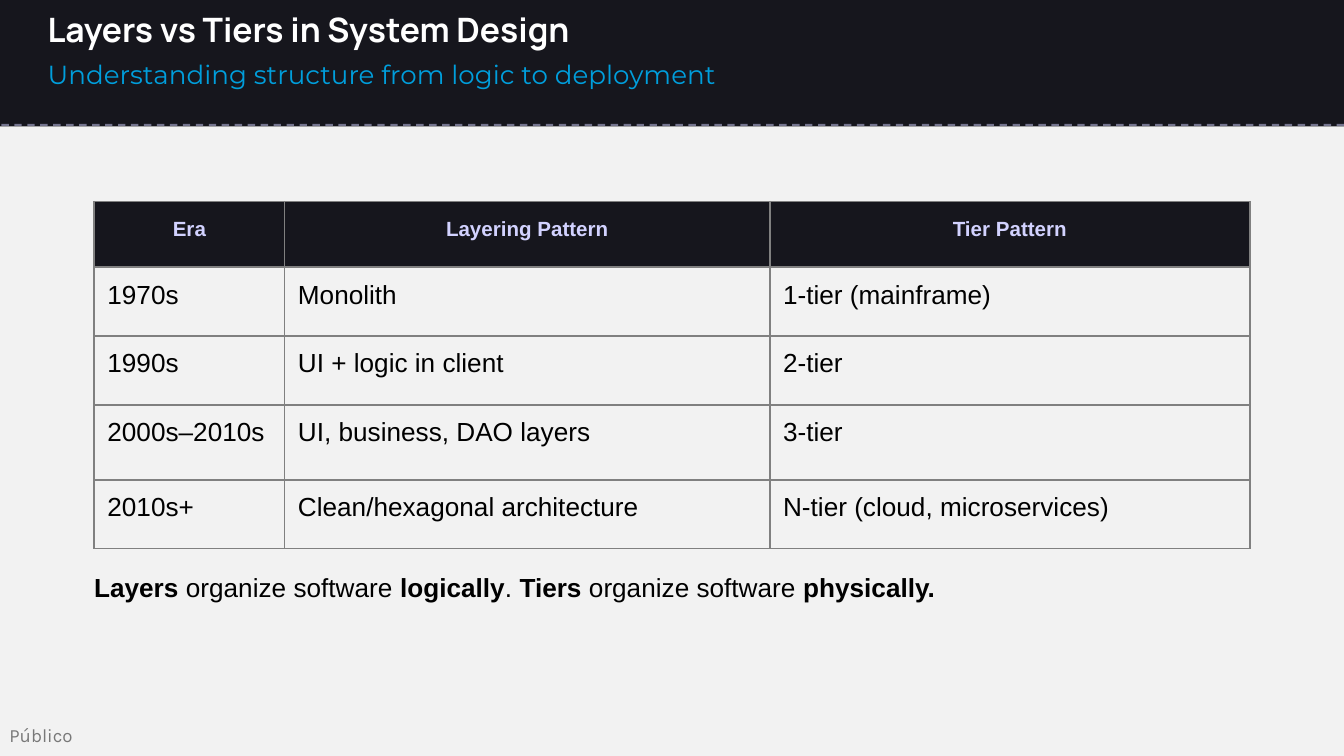
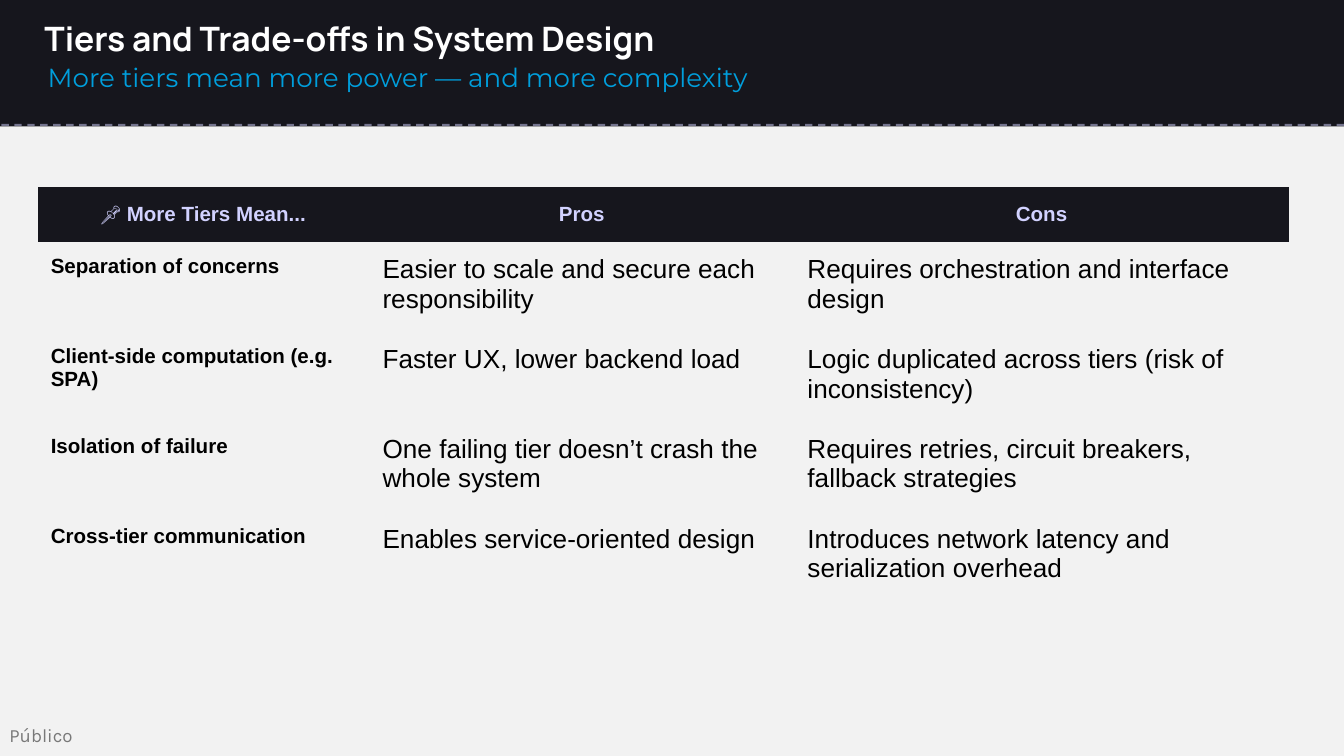
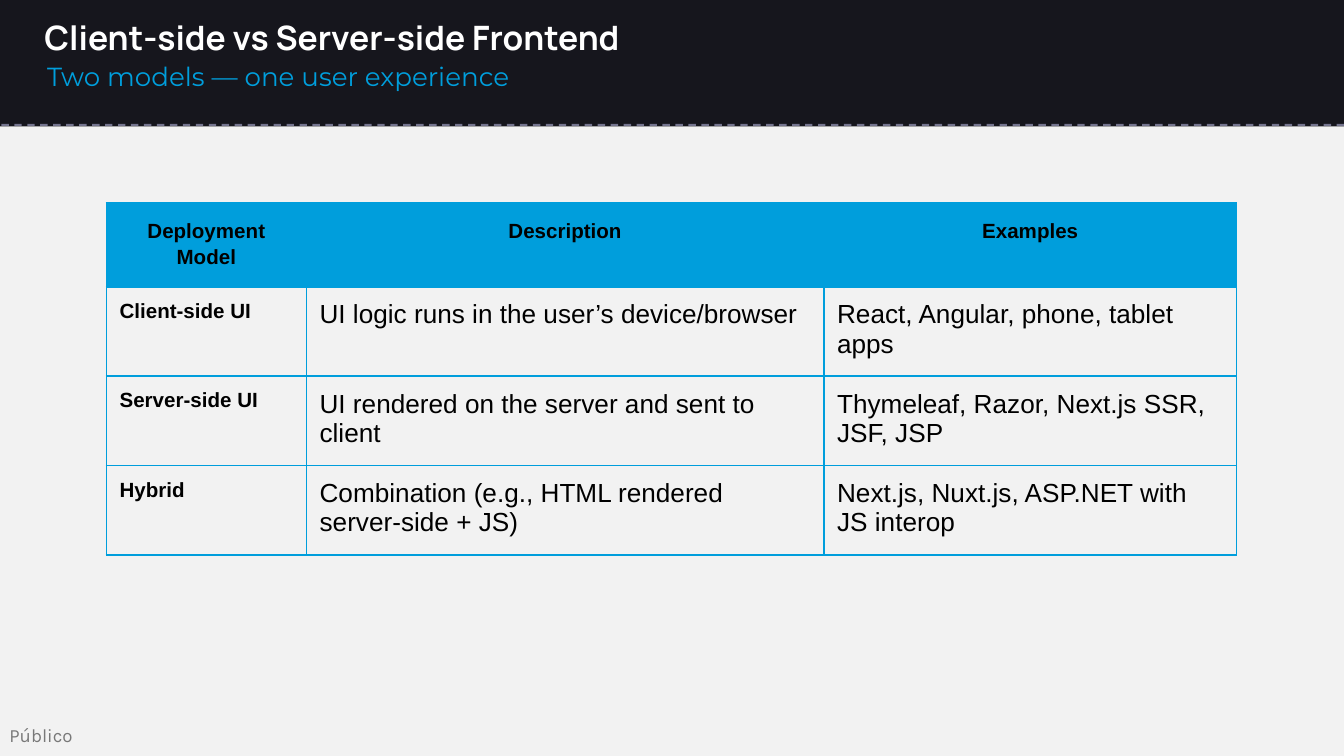
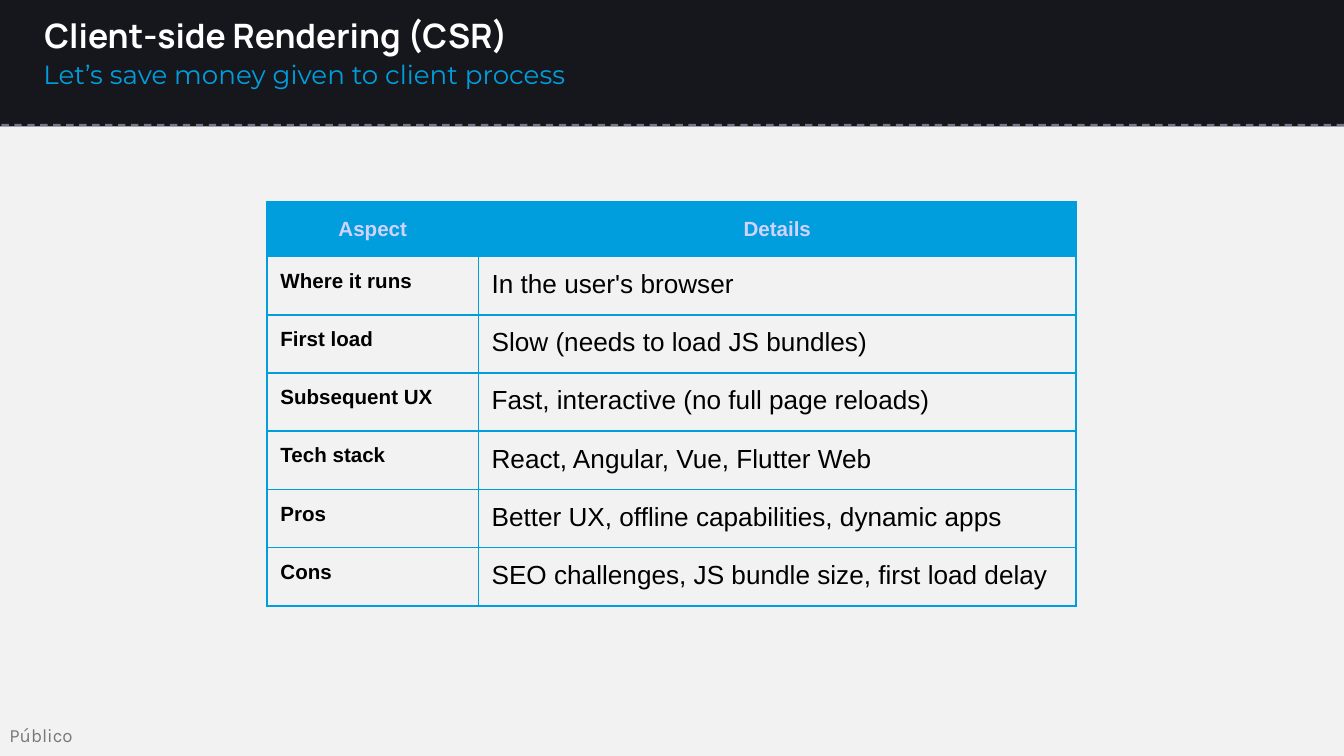
from lxml.etree import SubElement
from pptx import Presentation
from pptx.dml.color import RGBColor
from pptx.enum.dml import MSO_LINE_DASH_STYLE as DASH
from pptx.enum.shapes import MSO_CONNECTOR, MSO_SHAPE
from pptx.enum.text import MSO_ANCHOR, MSO_AUTO_SIZE, PP_ALIGN
from pptx.oxml.ns import qn
from pptx.util import Cm, Pt

PAPER = RGBColor(0xF2, 0xF2, 0xF2)
INK = RGBColor(0x16, 0x16, 0x1D)
LAVENDER = RGBColor(0xD2, 0xD2, 0xFF)
BLUE = RGBColor(0x00, 0x9E, 0xDC)
GRAY = RGBColor(0x80, 0x80, 0x80)
BLACK = RGBColor(0, 0, 0)
WHITE = RGBColor(0xFF, 0xFF, 0xFF)

SLIDE_WIDTH, SLIDE_HEIGHT = 25.4, 14.29
BAND_HEIGHT = 2.39
CELL_INSET = 0.25
PLAIN_TABLE_STYLE = "{2D5ABB26-0587-4C30-8999-92F81FD0307C}"


def set_alpha(element, percent):
    for color in element.iter(qn("a:srgbClr")):
        SubElement(color, qn("a:alpha"), val=str(percent * 1000))


def write_text(frame, *parts, size, font="Arial", color=BLACK, bold=False,
               align=PP_ALIGN.LEFT, line_spacing=1.0, inset=(0, 0)):
    """Bold applies to every other part, starting with the first."""
    frame.word_wrap = True
    frame.auto_size = MSO_AUTO_SIZE.NONE
    frame.vertical_anchor = MSO_ANCHOR.TOP
    frame.margin_left = frame.margin_right = Cm(inset[0])
    frame.margin_top = frame.margin_bottom = Cm(inset[1])
    paragraph = frame.paragraphs[0]
    paragraph.alignment = align
    paragraph.line_spacing = line_spacing
    paragraph.space_before = Pt(0)
    for index, part in enumerate(parts):
        run = paragraph.add_run()
        run.text = part
        run.font.name = font
        run.font.size = Pt(size)
        run.font.bold = bold and index % 2 == 0
        run.font.color.rgb = color
    return paragraph


def place(shape, left, top, width, height):
    shape.left, shape.top = Cm(left), Cm(top)
    shape.width, shape.height = Cm(width), Cm(height)


def add_band(slide):
    band = slide.shapes.add_shape(
        MSO_SHAPE.RECTANGLE, 0, 0, Cm(SLIDE_WIDTH), Cm(BAND_HEIGHT))
    band.shadow.inherit = False
    band.fill.solid()
    band.fill.fore_color.rgb = INK
    band.line.fill.background()

    edge = slide.shapes.add_connector(
        MSO_CONNECTOR.STRAIGHT, Cm(SLIDE_WIDTH), Cm(BAND_HEIGHT - 0.03),
        0, Cm(BAND_HEIGHT - 0.03))
    edge.line.color.rgb = LAVENDER
    edge.line.width = Pt(1)
    edge.line.dash_style = DASH.DASH
    properties = edge._element.spPr
    set_alpha(properties, 50)
    SubElement(properties, qn("a:effectLst"))

    shape_tree = band._element.getparent()
    for shape in (edge, band):
        shape_tree.insert(2, shape._element)


def add_footer(slide):
    footer = slide.shapes.add_textbox(Cm(0.18), Cm(13.69), Cm(1.6), Cm(0.43))
    paragraph = write_text(footer.text_frame, "Público", size=10, font="Karla")
    set_alpha(paragraph._p, 50)


def add_heading(slide, title, title_at, subtitle, subtitle_at):
    inset = (0.18, 0.1)
    place(slide.shapes.title, *title_at, 16, 1.93)
    write_text(slide.shapes.title.text_frame, title, size=18, font="Manrope",
               color=WHITE, bold=True, line_spacing=1.15, inset=inset)
    subtitle_shape = slide.placeholders[1]
    place(subtitle_shape, *subtitle_at, 18, 1.73)
    write_text(subtitle_shape.text_frame, subtitle, size=14, font="Montserrat",
               color=BLUE, line_spacing=1.15, inset=inset)


def new_slide(presentation, *heading):
    slide = presentation.slides.add_slide(presentation.slide_layouts[0])
    add_heading(slide, *heading)
    add_band(slide)
    add_footer(slide)
    return slide


def set_borders(cell, color):
    properties = cell._tc.get_or_add_tcPr()
    for index, side in enumerate(("a:lnL", "a:lnR", "a:lnT", "a:lnB")):
        line = properties.makeelement(qn(side), {"w": str(Pt(1))})
        fill = SubElement(line, qn("a:solidFill"))
        SubElement(fill, qn("a:srgbClr"), val=str(color))
        properties.insert(index, line)


def add_grid(slide, left, top, columns, heights, rows, header_fill=INK,
             header_color=LAVENDER, border=None, bold_labels=True):
    frame = slide.shapes.add_table(
        len(rows), len(columns), Cm(left), Cm(top),
        Cm(sum(columns)), Cm(sum(heights)))
    table = frame.table
    table._tbl.tblPr.find(qn("a:tableStyleId")).text = PLAIN_TABLE_STYLE
    table.horz_banding = False
    for column, width in zip(table.columns, columns):
        column.width = Cm(width)
    for row, height in zip(table.rows, heights):
        row.height = Cm(height)

    for row_index, texts in enumerate(rows):
        for column_index, text in enumerate(texts):
            cell = table.cell(row_index, column_index)
            if row_index == 0:
                style = dict(size=11, bold=True, color=header_color,
                             align=PP_ALIGN.CENTER, line_spacing=1.15)
                cell.fill.solid()
                cell.fill.fore_color.rgb = header_fill
            else:
                is_label = bold_labels and column_index == 0
                style = dict(size=11 if is_label else 14, bold=is_label)
                cell.fill.background()
            write_cell(cell, text, **style)
            if border is not None:
                set_borders(cell, border)


def write_cell(cell, text, size, bold, color=BLACK, align=PP_ALIGN.LEFT,
               line_spacing=1.0):
    cell.margin_left = cell.margin_right = Cm(CELL_INSET)
    cell.margin_top = cell.margin_bottom = Cm(CELL_INSET)
    cell.vertical_anchor = MSO_ANCHOR.TOP
    paragraph = cell.text_frame.paragraphs[0]
    paragraph.alignment = align
    paragraph.line_spacing = line_spacing
    run = paragraph.add_run()
    run.text = text
    run.font.name = "Arial"
    run.font.size = Pt(size)
    run.font.bold = bold
    run.font.color.rgb = color


def add_layers_slide(presentation):
    slide = new_slide(
        presentation, "Layers vs Tiers in System Design", (0.72, -0.05),
        "Understanding structure from logic to deployment", (0.72, 0.91))
    add_grid(slide, 1.78, 3.81, (3.6, 9.17, 9.07), (1.24, 1.3, 1.3, 1.42, 1.3), (
        ("Era", "Layering Pattern", "Tier Pattern"),
        ("1970s", "Monolith", "1-tier (mainframe)"),
        ("1990s", "UI + logic in client", "2-tier"),
        ("2000s–2010s", "UI, business, DAO layers", "3-tier"),
        ("2010s+", "Clean/hexagonal architecture", "N-tier (cloud, microservices)"),
    ), border=GRAY, bold_labels=False)
    summary = slide.shapes.add_textbox(Cm(1.53), Cm(10.46), Cm(17.68), Cm(1.12))
    write_text(summary.text_frame, "Layers", " organize software ", "logically",
               ". ", "Tiers", " organize software ", "physically.",
               size=14, bold=True, line_spacing=1.15,
               inset=(CELL_INSET, CELL_INSET))


def add_trade_offs_slide(presentation):
    slide = new_slide(
        presentation, "Tiers and Trade-offs in System Design", (0.66, 0.13),
        "More tiers mean more power — and more complexity", (0.72, 0.97))
    add_grid(slide, 0.71, 3.53, (6.27, 8.03, 9.35), [1.04] + [1.7] * 4, (
        ("📌 More Tiers Mean...", "Pros", "Cons"),
        ("Separation of concerns",
         "Easier to scale and secure each responsibility",
         "Requires orchestration and interface design"),
        ("Client-side computation (e.g. SPA)",
         "Faster UX, lower backend load",
         "Logic duplicated across tiers (risk of inconsistency)"),
        ("Isolation of failure",
         "One failing tier doesn’t crash the whole system",
         "Requires retries, circuit breakers, fallback strategies"),
        ("Cross-tier communication",
         "Enables service-oriented design",
         "Introduces network latency and serialization overhead"),
    ))


def add_frontend_slide(presentation):
    slide = new_slide(
        presentation, "Client-side vs Server-side Frontend", (0.66, 0.1),
        "Two models — one user experience", (0.71, 0.95))
    add_grid(slide, 2.01, 3.84, (3.78, 9.78, 7.8), [1.58] + [1.69] * 3, (
        ("Deployment Model", "Description", "Examples"),
        ("Client-side UI",
         "UI logic runs in the user’s device/browser",
         "React, Angular, phone, tablet apps"),
        ("Server-side UI",
         "UI rendered on the server and sent to client",
         "Thymeleaf, Razor, Next.js SSR, JSF, JSP"),
        ("Hybrid",
         "Combination (e.g., HTML rendered server-side + JS)",
         "Next.js, Nuxt.js, ASP.NET with JS interop"),
    ), header_fill=BLUE, header_color=BLACK, border=BLUE)


def add_rendering_slide(presentation):
    slide = new_slide(
        presentation, "Client-side Rendering (CSR)", (0.66, 0.06),
        "Let’s save money given to client process", (0.64, 0.92))
    add_grid(slide, 5.05, 3.81, (3.99, 11.3), [1.04] + [1.1] * 6, (
        ("Aspect", "Details"),
        ("Where it runs", "In the user's browser"),
        ("First load", "Slow (needs to load JS bundles)"),
        ("Subsequent UX", "Fast, interactive (no full page reloads)"),
        ("Tech stack", "React, Angular, Vue, Flutter Web"),
        ("Pros", "Better UX, offline capabilities, dynamic apps"),
        ("Cons", "SEO challenges, JS bundle size, first load delay"),
    ), header_fill=BLUE, border=BLUE)


def main():
    presentation = Presentation()
    presentation.slide_width = Cm(SLIDE_WIDTH)
    presentation.slide_height = Cm(SLIDE_HEIGHT)
    background = presentation.slide_master.background.fill
    background.solid()
    background.fore_color.rgb = PAPER
    add_layers_slide(presentation)
    add_trade_offs_slide(presentation)
    add_frontend_slide(presentation)
    add_rendering_slide(presentation)
    presentation.save("out.pptx")


if __name__ == "__main__":
    main()
